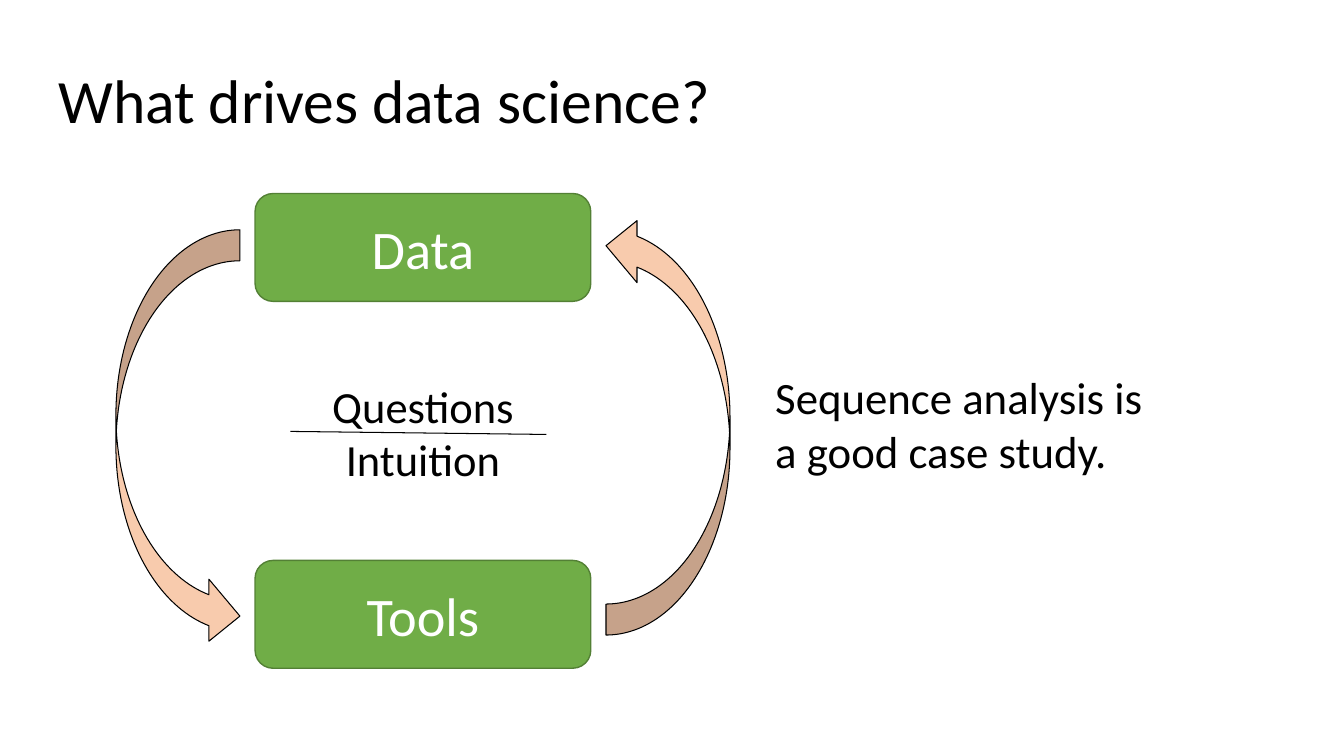
from dataclasses import dataclass

from lxml import etree
from pptx import Presentation, util as u
from pptx.dml import color
from pptx.enum import shapes, text
from pptx.oxml import ns

COLORS = {
    "black": "000000",
    "white": "FFFFFF",
    "green": "70AD47",
    "dark_green": "538035",
    "peach": "F8CBAD",
}
FONT = "Calibri"


@dataclass
class Frame:
    left: float
    top: float
    width: float
    height: float

    def lengths(self) -> list:
        return [u.Inches(n) for n in (self.left, self.top, self.width, self.height)]


@dataclass
class Label:
    frame: Frame
    lines: list[str]
    size: float
    align: text.PP_ALIGN = text.PP_ALIGN.LEFT
    anchor: text.MSO_ANCHOR = text.MSO_ANCHOR.MIDDLE
    spacing: float = 1.0
    wrap: bool = True


@dataclass
class Stage:
    name: str
    frame: Frame


@dataclass
class CycleArrow:
    frame: Frame
    rotation: float


def rgb(name: str) -> color.RGBColor:
    return color.RGBColor.from_string(COLORS[name])


def write_lines(frame, lines: list[str], size: float, ink: str,
                align: text.PP_ALIGN, spacing: float = 1.0) -> None:
    for index, line in enumerate(lines):
        paragraph = frame.add_paragraph() if index else frame.paragraphs[0]
        paragraph.text = line
        paragraph.alignment = align
        paragraph.line_spacing = spacing
        paragraph.font.name = FONT
        paragraph.font.size = u.Pt(size)
        paragraph.font.color.rgb = rgb(ink)


def add_filled(slide, kind, frame: Frame, fill: str, line: str, weight: float):
    shape = slide.shapes.add_shape(kind, *frame.lengths())
    shape.shadow.inherit = False
    shape.fill.solid()
    shape.fill.fore_color.rgb = rgb(fill)
    shape.line.color.rgb = rgb(line)
    shape.line.width = u.Pt(weight)
    return shape


def add_stage(slide, stage: Stage) -> None:
    shape = add_filled(slide, shapes.MSO_SHAPE.ROUNDED_RECTANGLE, stage.frame,
                       "green", "dark_green", 1)
    shape.text_frame.vertical_anchor = text.MSO_ANCHOR.MIDDLE
    write_lines(shape.text_frame, [stage.name], 38.8, "white", text.PP_ALIGN.CENTER)


def add_cycle_arrow(slide, arrow: CycleArrow) -> None:
    shape = add_filled(slide, shapes.MSO_SHAPE.CURVED_RIGHT_ARROW, arrow.frame,
                       "peach", "black", 0.75)
    shape.rotation = arrow.rotation


def add_label(slide, label: Label) -> None:
    frame = slide.shapes.add_textbox(*label.frame.lengths()).text_frame
    frame.word_wrap = label.wrap
    frame.vertical_anchor = label.anchor
    write_lines(frame, label.lines, label.size, "black", label.align, label.spacing)


def add_divider(slide) -> None:
    ends = [u.Inches(n) for n in (2.88, 4.28, 5.42, 4.31)]
    line = slide.shapes.add_connector(shapes.MSO_CONNECTOR.STRAIGHT, *ends)
    line.line.color.rgb = rgb("black")
    line.line.width = u.Pt(0.75)
    etree.SubElement(line._element.spPr, ns.qn("a:effectLst"))


STAGES = [
    Stage(name, Frame(2.53, top, 3.33, 1.07))
    for name, top in (("Data", 1.92), ("Tools", 5.56))
]
ARROWS = [
    CycleArrow(Frame(1.15, 2.28, 1.23, 4.14), 0),
    CycleArrow(Frame(6.01, 2.13, 1.23, 4.17), 180),
]
LABELS = [
    Label(Frame(2.27, 3.7, 3.85, 1.17), ["Questions", "Intuition"], 31.8,
          align=text.PP_ALIGN.CENTER),
    Label(Frame(0.48, 0.48, 8.24, 1.1), ["What drives data science?"], 44, spacing=0.9),
    Label(Frame(7.59, 3.62, 3.98, 1.18), ["Sequence analysis is", "a good case study."],
          32, anchor=text.MSO_ANCHOR.TOP, wrap=False),
]


def main() -> None:
    presentation = Presentation()
    presentation.slide_width = u.Inches(13.33)
    presentation.slide_height = u.Inches(7.5)
    slide = presentation.slides.add_slide(presentation.slide_layouts[6])
    for stage in STAGES:
        add_stage(slide, stage)
    add_divider(slide)
    for arrow in ARROWS:
        add_cycle_arrow(slide, arrow)
    for label in LABELS:
        add_label(slide, label)
    presentation.save("out.pptx")


if __name__ == "__main__":
    main()
